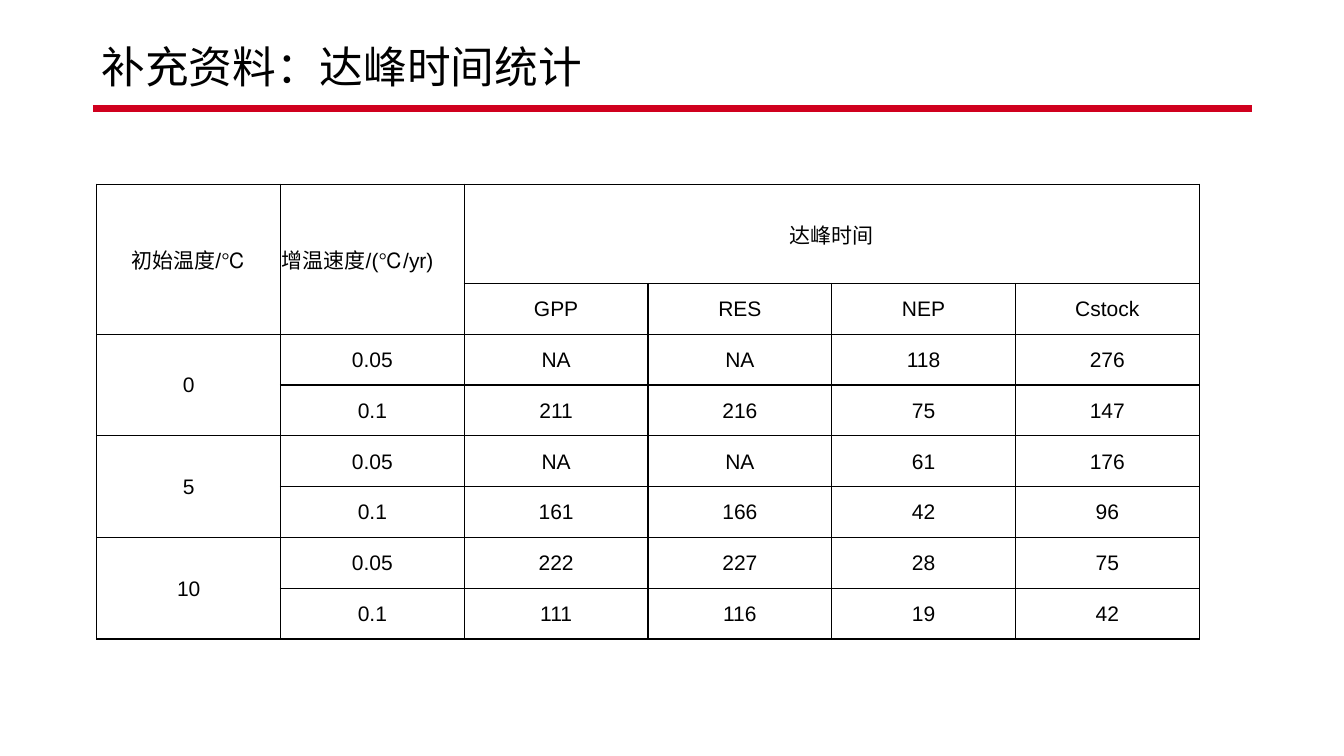
"""Build a slide with a table of peak times for warming scenarios."""
from dataclasses import dataclass

from lxml import etree
from pptx import Presentation
from pptx import util as u
from pptx.dml.color import RGBColor
from pptx.enum import shapes, text
from pptx.oxml import ns

FONT = "Arial"
BLACK = "000000"
RED = "D0001E"
CENTER = text.PP_ALIGN.CENTER
LEFT = text.PP_ALIGN.LEFT


@dataclass(frozen=True)
class Entry:
    """A table cell: its place, wording, span and alignment."""
    row: int
    column: int
    words: str
    rows: int = 1
    columns: int = 1
    align: text.PP_ALIGN = CENTER


@dataclass(frozen=True)
class Scenario:
    """Peak times of one starting temperature, one tuple per warming rate."""
    temperature: str
    peaks: tuple[tuple[str, ...], ...]


RATES = ("0.05", "0.1")
MEASURES = ("GPP", "RES", "NEP", "Cstock")
SCENARIOS = (
    Scenario("0", (("NA", "NA", "118", "276"), ("211", "216", "75", "147"))),
    Scenario("5", (("NA", "NA", "61", "176"), ("161", "166", "42", "96"))),
    Scenario("10", (("222", "227", "28", "75"), ("111", "116", "19", "42"))),
)
HEADER_ROWS = 2
ROW_COUNT = HEADER_ROWS + len(SCENARIOS) * len(RATES)
COLUMN_COUNT = 2 + len(MEASURES)


def color(value: str) -> RGBColor:
    """Turn a hex string into a colour."""
    return RGBColor.from_string(value)


def write(frame, words: str, *, size: float, align=LEFT, spacing: float = 1.0,
          fill: str = BLACK) -> None:
    """Put one formatted paragraph into a text frame."""
    para = frame.paragraphs[0]
    para.alignment = align
    para.line_spacing = spacing
    span = para.add_run()
    span.text = words
    span.font.name = FONT
    span.font.size = u.Pt(size)
    span.font.color.rgb = color(fill)


def add_title(page, words: str) -> None:
    """Add the slide title, resting on the bottom of its box."""
    box = page.shapes.add_textbox(u.Cm(2.31), u.Cm(0.99), u.Cm(27.15), u.Cm(1.47))
    box.text_frame.word_wrap = True
    box.text_frame.vertical_anchor = text.MSO_ANCHOR.BOTTOM
    write(box.text_frame, words, size=31.2, spacing=0.9)


def add_rule(page) -> None:
    """Add the thick red line below the title."""
    rule = page.shapes.add_connector(
        shapes.MSO_CONNECTOR.STRAIGHT, u.Cm(2.34), u.Cm(2.74), u.Cm(31.55), u.Cm(2.74))
    rule.line.color.rgb = color(RED)
    rule.line.width = u.Pt(5)
    etree.SubElement(rule._element.spPr, ns.qn("a:effectLst"))


def add_borders(cell, stroke: str, width: float) -> None:
    """Draw a solid line on all four sides of a cell."""
    properties = cell._tc.get_or_add_tcPr()
    for position, side in enumerate(("lnL", "lnR", "lnT", "lnB")):
        line = etree.Element(ns.qn(f"a:{side}"), w=str(u.Pt(width)))
        solid = etree.SubElement(line, ns.qn("a:solidFill"))
        etree.SubElement(solid, ns.qn("a:srgbClr"), val=stroke)
        properties.insert(position, line)


def list_entries() -> list[Entry]:
    """Lay out the headings and the scenarios as table cells."""
    entries = [
        Entry(0, 0, "初始温度/℃", rows=HEADER_ROWS),
        Entry(0, 1, "增温速度/(℃/yr)", rows=HEADER_ROWS, align=LEFT),
        Entry(0, 2, "达峰时间", columns=len(MEASURES)),
    ]
    entries += [Entry(1, column, name) for column, name in enumerate(MEASURES, 2)]
    for index, scenario in enumerate(SCENARIOS):
        first = HEADER_ROWS + index * len(RATES)
        entries.append(Entry(first, 0, scenario.temperature, rows=len(RATES)))
        for row, (rate, peaks) in enumerate(zip(RATES, scenario.peaks), first):
            entries += [Entry(row, column, words)
                        for column, words in enumerate((rate, *peaks), 1)]
    return entries


def fill_entry(table, entry: Entry) -> None:
    """Merge the cells an entry covers and write its words."""
    cell = table.cell(entry.row, entry.column)
    if entry.rows > 1 or entry.columns > 1:
        cell.merge(table.cell(entry.row + entry.rows - 1,
                              entry.column + entry.columns - 1))
    write(cell.text_frame, entry.words, size=15, align=entry.align)


def add_peak_table(page) -> None:
    """Add the table of peak times."""
    column_width, heading_height, row_height = u.Cm(4.63), u.Cm(2.5), u.Cm(1.28)
    table = page.shapes.add_table(
        ROW_COUNT, COLUMN_COUNT, u.Cm(2.44), u.Cm(4.64), column_width * COLUMN_COUNT,
        heading_height + row_height * (ROW_COUNT - 1)).table
    table.first_row = table.horz_banding = False
    for column in table.columns:
        column.width = column_width
    for index, row in enumerate(table.rows):
        row.height = row_height if index else heading_height
    for cell in table.iter_cells():
        cell.fill.background()
        cell.vertical_anchor = text.MSO_ANCHOR.MIDDLE
        cell.margin_left = cell.margin_right = cell.margin_top = u.Cm(0.03)
        cell.margin_bottom = u.Cm(0)
        add_borders(cell, BLACK, 1)
    for entry in list_entries():
        fill_entry(table, entry)


def main() -> None:
    """Build the deck and save it."""
    deck = Presentation()
    deck.slide_width, deck.slide_height = u.Cm(33.87), u.Cm(19.05)
    page = deck.slides.add_slide(deck.slide_layouts[6])
    add_rule(page)
    add_title(page, "补充资料：达峰时间统计")
    add_peak_table(page)
    deck.save("out.pptx")


main()
